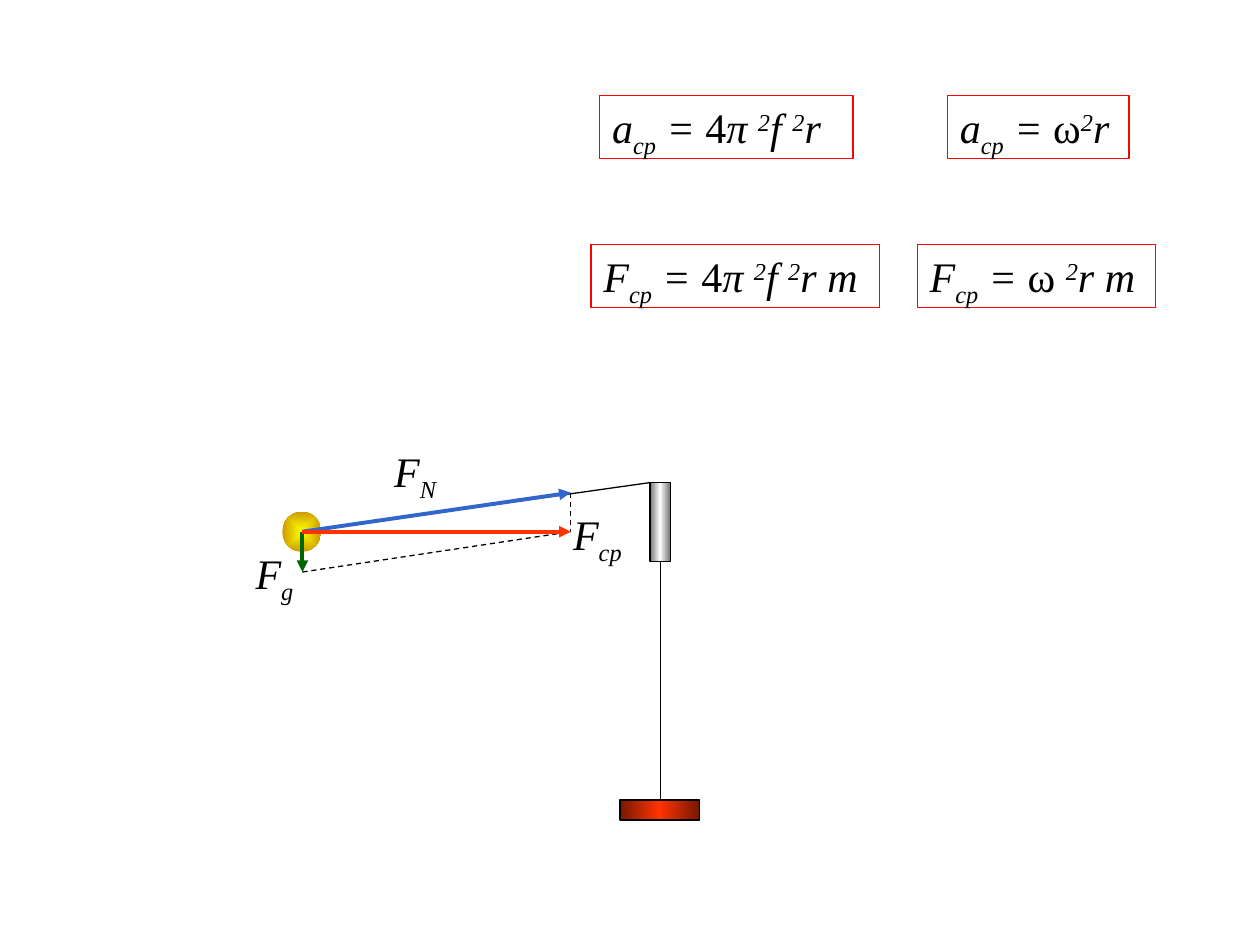
import pptx
import pptx.dml.color
import pptx.enum.dml
import pptx.enum.shapes
import pptx.oxml
import pptx.oxml.ns
import pptx.util

Inches = pptx.util.Inches
Pt = pptx.util.Pt
SHAPES = pptx.enum.shapes.MSO_SHAPE
FONT = "Times New Roman"
BLACK, WHITE, RED = "000000", "FFFFFF", "FF0000"

# Each run is (text, style).
SUBSCRIPT_CP = ("cp", "sub")
FREQUENCY = [SUBSCRIPT_CP, (" = ", "italic"), ("4", "upright"), ("π ", "italic"),
             ("2", "sup"), ("f ", "italic"), ("2", "sup")]
FORMULAS = [  # left, top, width, runs
    (4.76, 0.76, 2.01, [("a", "italic"), *FREQUENCY, ("r", "italic")]),
    (7.52, 0.76, 1.44, [("a", "italic"), SUBSCRIPT_CP, (" = ", "italic"),
                        ("ω", "upright"), ("2", "sup"), ("r", "italic")]),
    (4.69, 1.94, 2.29, [("F", "italic"), *FREQUENCY, ("r m", "italic")]),
    (7.28, 1.94, 1.89, [("F", "italic"), SUBSCRIPT_CP, (" = ", "italic"),
                        ("ω ", "upright"), ("2", "sup"), ("r m", "italic")]),
]
FORCE_LABELS = [  # left, top, width, subscript
    (3.03, 3.49, 0.55, "N"),
    (1.93, 4.3, 0.52, "g"),
    (4.45, 3.99, 0.61, "cp"),
]
TEXT_HEIGHT = 0.5

BALL = (2.4, 4.22)
GRAVITY_TIP = (2.4, 4.54)
NORMAL_TIP = (4.53, 3.91)
CENTRIPETAL_TIP = (4.53, 4.22)
STRING_END = (5.16, 3.83)
ROD_BOTTOM = (5.24, 4.46)
BASE_TOP = (5.24, 6.35)

SOLIDS = [  # preset, (left, top, width, height), gradient stops, radial, outline
    (SHAPES.OVAL, (2.24, 4.06, 0.31, 0.32), ["FFFF00", "CC9900"], True, None),
    (SHAPES.RECTANGLE, (5.16, 3.83, 0.16, 0.63), ["767676", WHITE, "767676"], False, BLACK),
    (SHAPES.RECTANGLE, (4.92, 6.35, 0.63, 0.16), ["761800", "FF3300", "761800"], False, BLACK),
]
GUIDES = [(GRAVITY_TIP, CENTRIPETAL_TIP), (NORMAL_TIP, CENTRIPETAL_TIP)]
FORCES = [(GRAVITY_TIP, "006600"), (NORMAL_TIP, "3366CC"), (CENTRIPETAL_TIP, "FF3300")]


def color(value):
    return pptx.dml.color.RGBColor.from_string(value)


def add_element(parent, tag, **attributes):
    element = pptx.oxml.parse_xml(f"<a:{tag} {pptx.oxml.ns.nsdecls('a')}/>")
    for name, value in attributes.items():
        element.set(name, str(value))
    parent.append(element)
    return element


def add_gradient(shape, colors, radial):
    gradient = add_element(shape._element.spPr, "gradFill", rotWithShape=1)
    stops = add_element(gradient, "gsLst")
    for index, value in enumerate(colors):
        stop = add_element(stops, "gs", pos=100000 * index // (len(colors) - 1))
        add_element(stop, "srgbClr", val=value)
    if radial:
        center = add_element(gradient, "path", path="shape")
        add_element(center, "fillToRect", l=50000, t=50000, r=50000, b=50000)
    else:
        add_element(gradient, "lin", ang=0, scaled=1)


def add_solid(page, preset, bounds, colors, radial, outline):
    shape = page.shapes.add_shape(preset, *map(Inches, bounds))
    add_gradient(shape, colors, radial)
    shape.shadow.inherit = False
    if outline:
        shape.line.color.rgb = color(outline)
        shape.line.width = Pt(0.75)
    else:
        shape.line.fill.background()


def add_line(page, start, end, line_color=BLACK, width=0.75, dashed=False, arrow=False):
    connector = page.shapes.add_connector(
        pptx.enum.shapes.MSO_CONNECTOR.STRAIGHT, *map(Inches, start + end))
    connector.line.color.rgb = color(line_color)
    connector.line.width = Pt(width)
    if dashed:
        connector.line.dash_style = pptx.enum.dml.MSO_LINE.DASH
    if arrow:
        add_element(connector.line._get_or_add_ln(), "tailEnd", type="triangle")
    add_element(connector._element.spPr, "effectLst")


def add_math(page, left, top, width, runs):
    box = page.shapes.add_textbox(*map(Inches, (left, top, width, TEXT_HEIGHT)))
    box.text_frame.word_wrap = True
    paragraph = box.text_frame.paragraphs[0]
    paragraph.font.name = FONT
    paragraph.font.size = Pt(24)
    paragraph.font.color.rgb = color(BLACK)
    for text, style in runs:
        span = paragraph.add_run()
        span.text = text
        span.font.italic = style != "upright"
        if style in ("sub", "sup"):
            span.font._element.set("baseline", "-25000" if style == "sub" else "30000")
    return box


def main():
    deck = pptx.Presentation()
    deck.slide_width, deck.slide_height = Inches(10), Inches(7.5)
    page = deck.slides.add_slide(deck.slide_layouts[6])

    add_line(page, BALL, STRING_END)
    for formula in FORMULAS:
        box = add_math(page, *formula)
        box.fill.solid()
        box.fill.fore_color.rgb = color(WHITE)
        box.line.color.rgb = color(RED)
        box.line.width = Pt(0.75)

    for solid in SOLIDS:
        add_solid(page, *solid)
    add_line(page, ROD_BOTTOM, BASE_TOP)

    for start, end in GUIDES:
        add_line(page, start, end, dashed=True)
    for tip, force_color in FORCES:
        add_line(page, BALL, tip, force_color, 2.25, arrow=True)
    for left, top, width, subscript in FORCE_LABELS:
        add_math(page, left, top, width, [("F", "italic"), (subscript, "sub")])

    deck.save("out.pptx")


if __name__ == "__main__":
    main()
